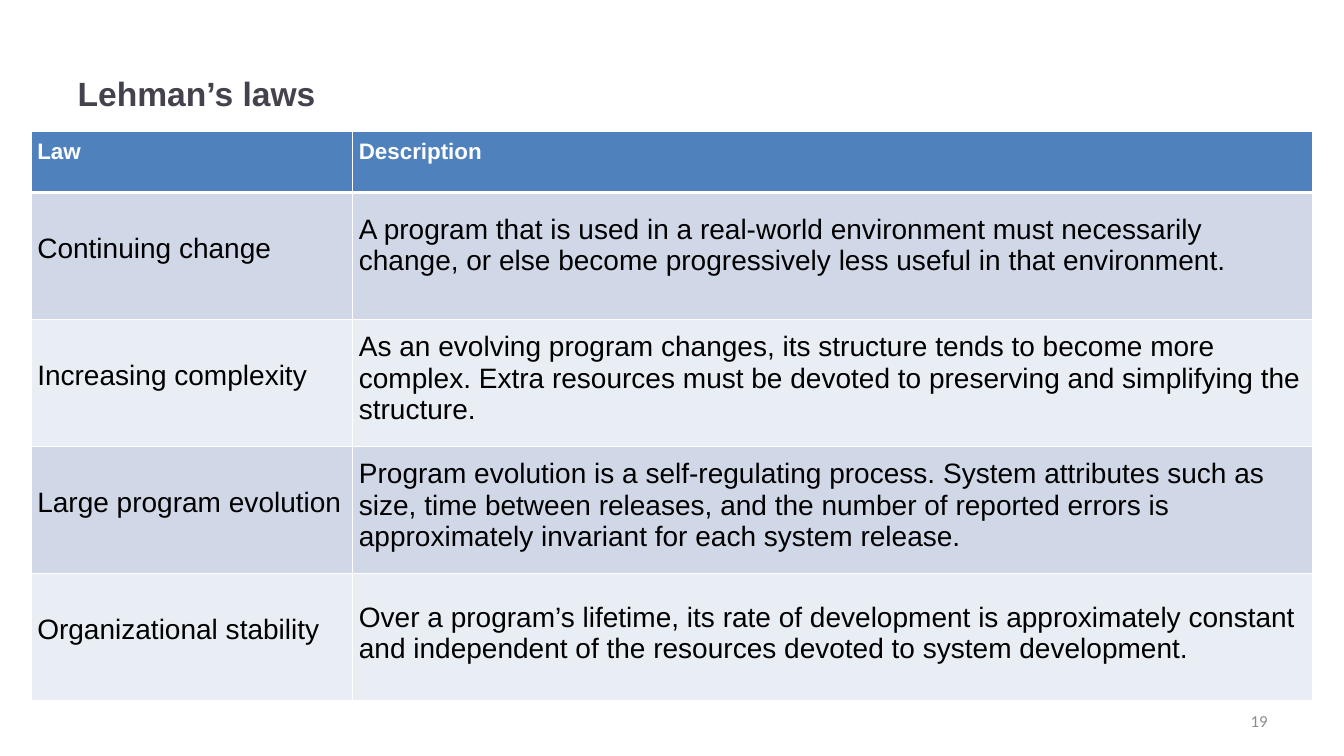
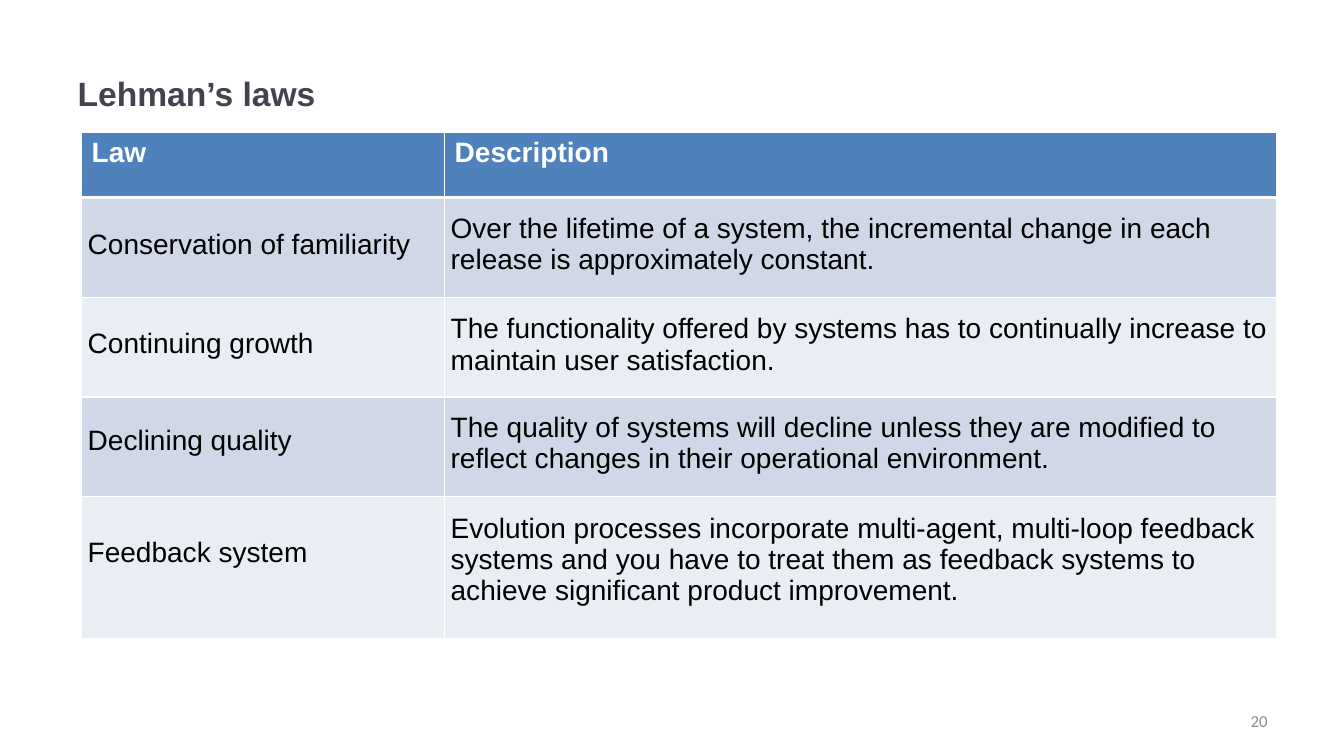
from lxml import etree
from pptx import Presentation
from pptx.dml.color import RGBColor as RGB
from pptx.enum.text import MSO_ANCHOR as ANCHOR, PP_ALIGN as ALIGN
from pptx.oxml.ns import qn
from pptx.util import Pt

PX = 9144
COLORS = {
    "title": "46424D", "header": "4F81BD", "white": "FFFFFF",
    "odd": "D0D8E8", "even": "E9EDF4", "text": "000000", "number": "8C8C8C",
}
TITLE_BOX = (67, 30, 1063, 125)
NUMBER_BOX = (956, 695, 311, 40)
HEADINGS = ("Law", "Description")
BODY_SIDE, BODY_BOTTOM = 6, 8

SLIDES = [
    {
        "title": "Lehman’s laws", "number": "19", "origin": (31, 130),
        "cols": (319, 952), "heights": (61, 126, 126, 126, 126),
        "header_size": 16, "header_insets": (6, 8),
        "laws": [
            ("Continuing change", 40,
             "A program that is used in a real-world environment must necessarily "
             "change, or else become progressively less useful in that environment.", 21),
            ("Increasing complexity", 40,
             "As an evolving program changes, its structure tends to become more "
             "complex. Extra resources must be devoted to preserving and simplifying "
             "the structure.", 12),
            ("Large program evolution", 40,
             "Program evolution is a self-regulating process. System attributes such as "
             "size, time between releases, and the number of reported errors is "
             "approximately invariant for each system release.", 12),
            ("Organizational stability", 40,
             "Over a program’s lifetime, its rate of development is approximately constant "
             "and independent of the resources devoted to system development.", 28),
        ],
    },
    {
        "title": "Lehman’s laws", "number": "20", "origin": (81, 131),
        "cols": (360, 825), "heights": (65, 99, 99, 99, 141),
        "header_size": 20, "header_insets": (10, 5),
        "laws": [
            ("Conservation of familiarity", 31,
             "Over the lifetime of a system, the incremental change in each release is "
             "approximately constant.", 15),
            ("Continuing growth", 31,
             "The functionality offered by systems has to continually increase to "
             "maintain user satisfaction.", 16),
            ("Declining quality", 28,
             "The quality of systems will decline unless they are modified to reflect "
             "changes in their operational environment.", 15),
            ("Feedback system", 40,
             "Evolution processes incorporate multi-agent, multi-loop feedback systems "
             "and you have to treat them as feedback systems to achieve significant "
             "product improvement.", 16),
        ],
    },
]


def px(*values):
    return [v * PX for v in values]


def write(tf, text, size, color, bold=False, font="Arial", align=ALIGN.LEFT):
    p = tf.paragraphs[0]
    p.text = text
    p.alignment = align
    p.font.name, p.font.size, p.font.bold = font, Pt(size), bold
    p.font.color.rgb = RGB.from_string(COLORS[color])


def set_borders(cell, row):
    tcPr = cell._tc.get_or_add_tcPr()
    thick = {(0, "lnB"), (1, "lnT")}
    for i, side in enumerate(("lnL", "lnR", "lnT", "lnB")):
        ln = etree.Element(qn(f"a:{side}"), w=str(Pt(3 if (row, side) in thick else 1)))
        fill = etree.SubElement(ln, qn("a:solidFill"))
        etree.SubElement(fill, qn("a:srgbClr"), val=COLORS["white"])
        tcPr.insert(i, ln)


def fill_cell(cell, row, text, size, color, fill, insets):
    left, top, right, bottom = px(*insets)
    cell.margin_left, cell.margin_top = left, top
    cell.margin_right, cell.margin_bottom = right, bottom
    cell.vertical_anchor = ANCHOR.TOP
    cell.fill.solid()
    cell.fill.fore_color.rgb = RGB.from_string(COLORS[fill])
    set_borders(cell, row)
    write(cell.text_frame, text, size, color, bold=row == 0)


def add_law_table(s, data):
    cols, heights = data["cols"], data["heights"]
    frame = s.shapes.add_table(len(heights), len(cols),
                               *px(*data["origin"], sum(cols), sum(heights)))
    table = frame.table
    for column, width in zip(table.columns, px(*cols)):
        column.width = width
    for row, height in zip(table.rows, px(*heights)):
        row.height = height
    side, top = data["header_insets"]
    for c, heading in enumerate(HEADINGS):
        fill_cell(table.cell(0, c), 0, heading, data["header_size"], "white", "header",
                  (side, top, side, top))
    for r, (law, law_top, description, description_top) in enumerate(data["laws"], 1):
        band = "odd" if r % 2 else "even"
        for c, (text, top) in enumerate(((law, law_top), (description, description_top))):
            fill_cell(table.cell(r, c), r, text, 20, "text", band,
                      (BODY_SIDE, top, BODY_SIDE, BODY_BOTTOM))


def add_title(s, text):
    sp = s.shapes.title
    sp.left, sp.top, sp.width, sp.height = px(*TITLE_BOX)
    sp.text_frame.vertical_anchor = ANCHOR.MIDDLE
    write(sp.text_frame, text, 24, "title", bold=True)


def add_number(s, text):
    tf = s.shapes.add_textbox(*px(*NUMBER_BOX)).text_frame
    tf.word_wrap = True
    tf.vertical_anchor = ANCHOR.MIDDLE
    write(tf, text, 12, "number", font="Calibri", align=ALIGN.RIGHT)


def main():
    prs = Presentation()
    prs.slide_width, prs.slide_height = px(1333, 750)
    for data in SLIDES:
        s = prs.slides.add_slide(prs.slide_layouts[5])
        add_title(s, data["title"])
        add_law_table(s, data)
        add_number(s, data["number"])
    prs.save("out.pptx")


if __name__ == "__main__":
    main()
